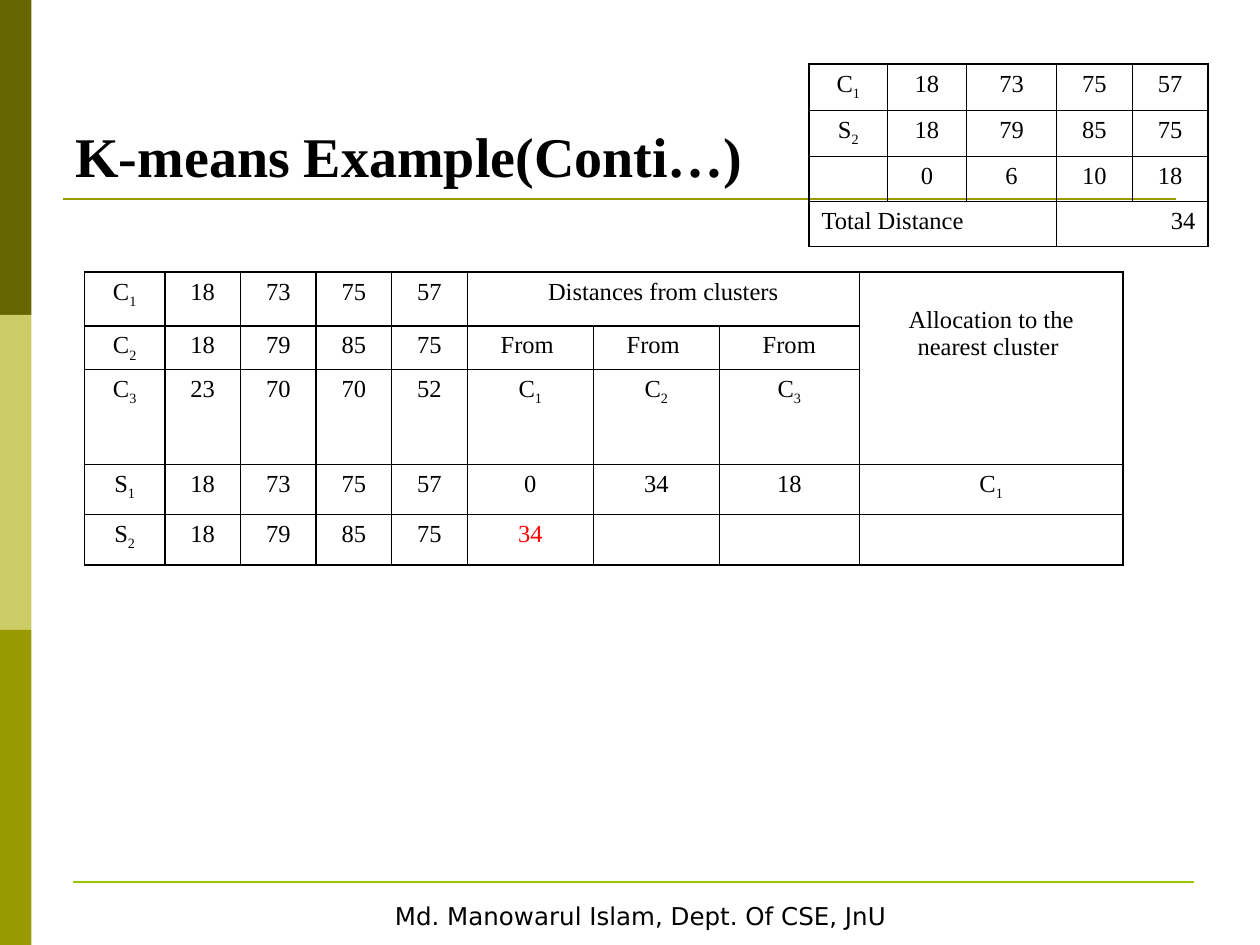
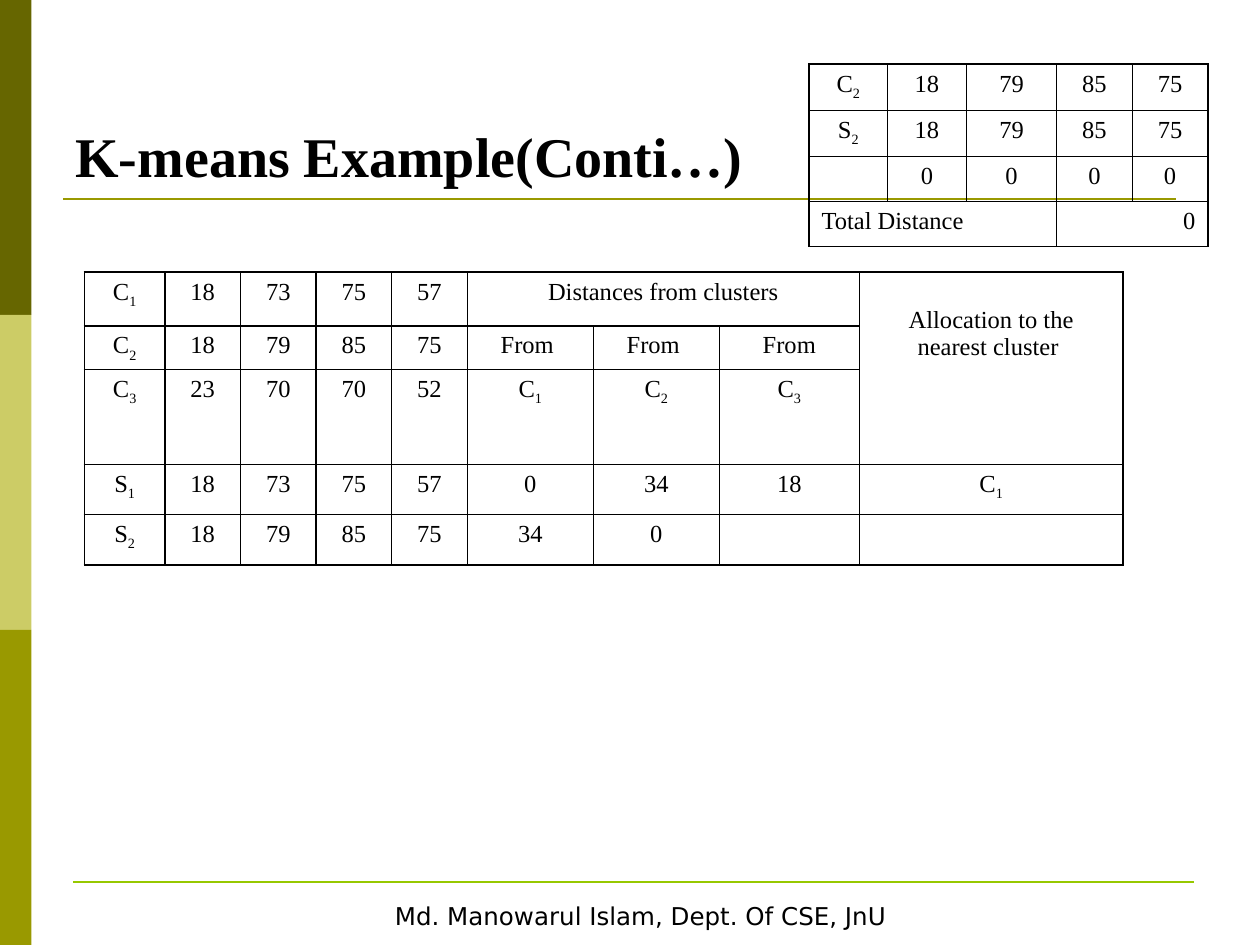
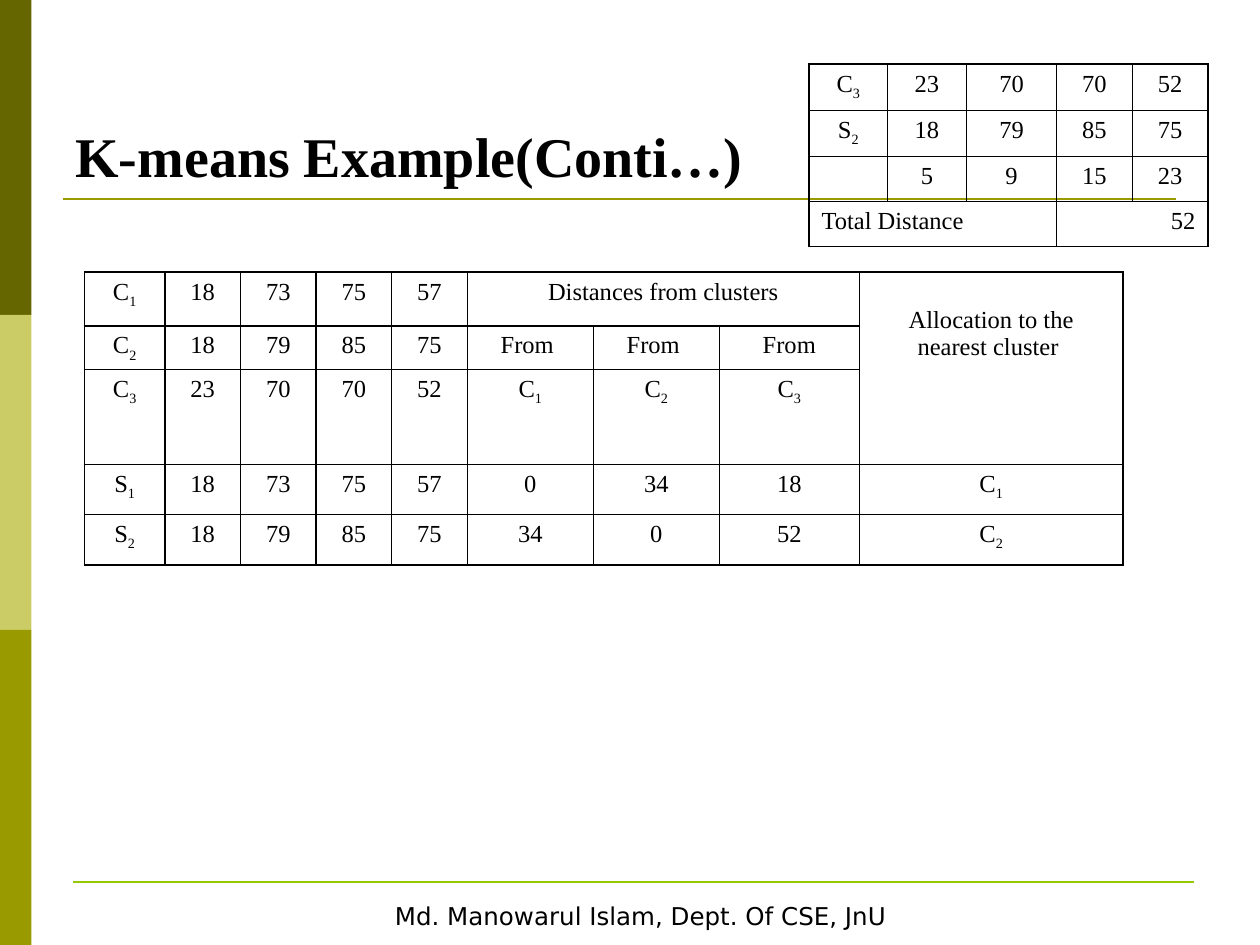
import pptx
import pptx.dml.color
import pptx.enum.shapes
import pptx.enum.text
import pptx.oxml
import pptx.oxml.ns
import pptx.util

Pt = pptx.util.Pt
ALIGN = pptx.enum.text.PP_ALIGN
ANCHOR = pptx.enum.text.MSO_ANCHOR

# Content: an underscore marks a subscript
TITLE = "K-means Example(Conti…)"
FOOTER = "Md. Manowarul Islam, Dept. Of CSE, JnU"
CENTROIDS = {"C_1": [18, 73, 75, 57], "C_2": [18, 79, 85, 75], "C_3": [23, 70, 70, 52]}
S1, S2 = [18, 73, 75, 57], [18, 79, 85, 75]
S1_RESULT = [0, 34, 18, "C_1"]
SLIDES = [
    {"centroid": "C_1", "s2_result": [34, "", "", ""], "red": [(4, 5)]},
    {"centroid": "C_2", "s2_result": [34, 0, "", ""], "red": []},
    {"centroid": "C_3", "s2_result": [34, 0, 52, "C_2"], "red": []},
]

# Shared look
COLORS = {"olive_dark": "666600", "olive_light": "CCCC66", "olive": "999900",
          "green": "96C800", "white": "FFFFFF", "black": "000000", "red": "FF0000"}
SERIF, SANS = "Times New Roman", "DejaVu Sans"
BANDS = ["olive_dark", "olive_light", "olive"]
RULES = [("olive", 36, 672, 113.76), ("green", 41.76, 682.56, 504)]
MAIN = {"at": (48.24, 155.52), "cols": [46, 43.2, 43.2, 43.2, 43.2, 72, 72, 80, 150.8],
        "rows": [30.7, 24, 24, 28.8, 28.8]}
SIDE = {"at": (462.24, 36.72), "cols": [45, 45, 51.6, 43.2, 43.2], "rows": [25.7] * 4}


def rgb(name):
    return pptx.dml.color.RGBColor.from_string(COLORS[name])


def style(p, size, face, color="black", bold=False, align=ALIGN.CENTER):
    p.alignment = align
    p.font.size, p.font.name, p.font.bold = Pt(size), face, bold
    p.font.color.rgb = rgb(color)


def add_rect(s, x, y, w, h, color):
    sp = s.shapes.add_shape(pptx.enum.shapes.MSO_SHAPE.RECTANGLE, Pt(x), Pt(y), Pt(w), Pt(h))
    sp.shadow.inherit = False
    sp.fill.solid()
    sp.fill.fore_color.rgb = rgb(color)
    sp.line.fill.background()
    return sp


def add_frame(s):
    """Side bands, rules and footer."""
    for i, color in enumerate(BANDS):
        add_rect(s, 0, 180 * i, 18, 180, color)
    for color, x1, x2, y in RULES:
        ln = s.shapes.add_connector(pptx.enum.shapes.MSO_CONNECTOR.STRAIGHT,
                                    Pt(x1), Pt(y), Pt(x2), Pt(y))
        ln.line.color.rgb = rgb(color)
        ln.line.width = Pt(1.5)
        ln._element.spPr.append(pptx.oxml.parse_xml(
            "<a:effectLst %s/>" % pptx.oxml.ns.nsdecls("a")))
    sp = add_rect(s, 36, 511.2, 660.24, 25.2, "white")
    sp.line.color.rgb = rgb("white")
    sp.line.width = Pt(2)
    tf = sp.text_frame
    tf.word_wrap = False
    tf.vertical_anchor = ANCHOR.TOP
    tf.text = FOOTER
    style(tf.paragraphs[0], 14, SANS)


def add_title(s):
    tf = s.shapes.add_textbox(Pt(36), Pt(21.6), Pt(648), Pt(90)).text_frame
    tf.word_wrap = True
    tf.vertical_anchor = ANCHOR.BOTTOM
    tf.text = TITLE
    style(tf.paragraphs[0], 32, SERIF, bold=True, align=ALIGN.LEFT)


def add_borders(cell):
    tcPr = cell._tc.get_or_add_tcPr()
    for i, side in enumerate(["lnL", "lnR", "lnT", "lnB"]):
        tcPr.insert(i, pptx.oxml.parse_xml(
            '<a:%s %s w="12700"><a:solidFill><a:srgbClr val="%s"/></a:solidFill></a:%s>'
            % (side, pptx.oxml.ns.nsdecls("a"), COLORS["black"], side)))


def add_table(s, layout, rows, merges, red=(), aligned={}):
    """Fill a table; merges are pairs of corner cells, aligned maps cells to alignments."""
    x, y = layout["at"]
    cols, heights = layout["cols"], layout["rows"]
    tb = s.shapes.add_table(len(heights), len(cols), Pt(x), Pt(y),
                            Pt(sum(cols)), Pt(sum(heights))).table
    tb.first_row = tb.horz_banding = False
    for col, w in zip(tb.columns, cols):
        col.width = Pt(w)
    for row, h in zip(tb.rows, heights):
        row.height = Pt(h)
    for i, values in enumerate(rows):
        for j, value in enumerate(values):
            cell = tb.cell(i, j)
            cell.fill.background()
            add_borders(cell)
            p = cell.text_frame.paragraphs[0]
            style(p, 14, SERIF, "red" if (i, j) in red else "black",
                  align=aligned.get((i, j), ALIGN.CENTER))
            base, _, sub = str(value).partition("_")
            if base:
                p.add_run().text = base
            else:
                p._p.get_or_add_endParaRPr().set("sz", "1400")
            if sub:
                r = p.add_run()
                r.text = sub
                r._r.get_or_add_rPr().set("baseline", "-25000")
    for first, last in merges:
        tb.cell(*first).merge(tb.cell(*last))
    return tb


def add_main_table(s, s2_result, red):
    names = list(CENTROIDS)
    right = [["Distances from clusters", "", "", "Allocation to the nearest cluster "],
             ["From ", "From ", "From", ""],
             names + [""]]
    rows = [[n] + CENTROIDS[n] + extra for n, extra in zip(names, right)]
    rows += [["S_1"] + S1 + S1_RESULT, ["S_2"] + S2 + s2_result]
    tb = add_table(s, MAIN, rows, [((0, 5), (0, 7)), ((0, 8), (2, 8))], red)
    tb.cell(0, 8).margin_top = Pt(19.6)


def add_side_table(s, name):
    centroid = CENTROIDS[name]
    gaps = [abs(a - b) for a, b in zip(centroid, S2)]
    rows = [[name] + centroid, ["S_2"] + S2, [""] + gaps,
            ["Total Distance", "", "", sum(gaps), ""]]
    add_table(s, SIDE, rows, [((3, 0), (3, 2)), ((3, 3), (3, 4))],
              aligned={(3, 0): ALIGN.LEFT, (3, 3): ALIGN.RIGHT})


def main():
    prs = pptx.Presentation()
    prs.slide_width, prs.slide_height = Pt(720), Pt(540)
    for step in SLIDES:
        s = prs.slides.add_slide(prs.slide_layouts[6])
        add_frame(s)
        add_main_table(s, step["s2_result"], step["red"])
        add_title(s)
        add_side_table(s, step["centroid"])
    prs.save("out.pptx")


if __name__ == "__main__":
    main()
